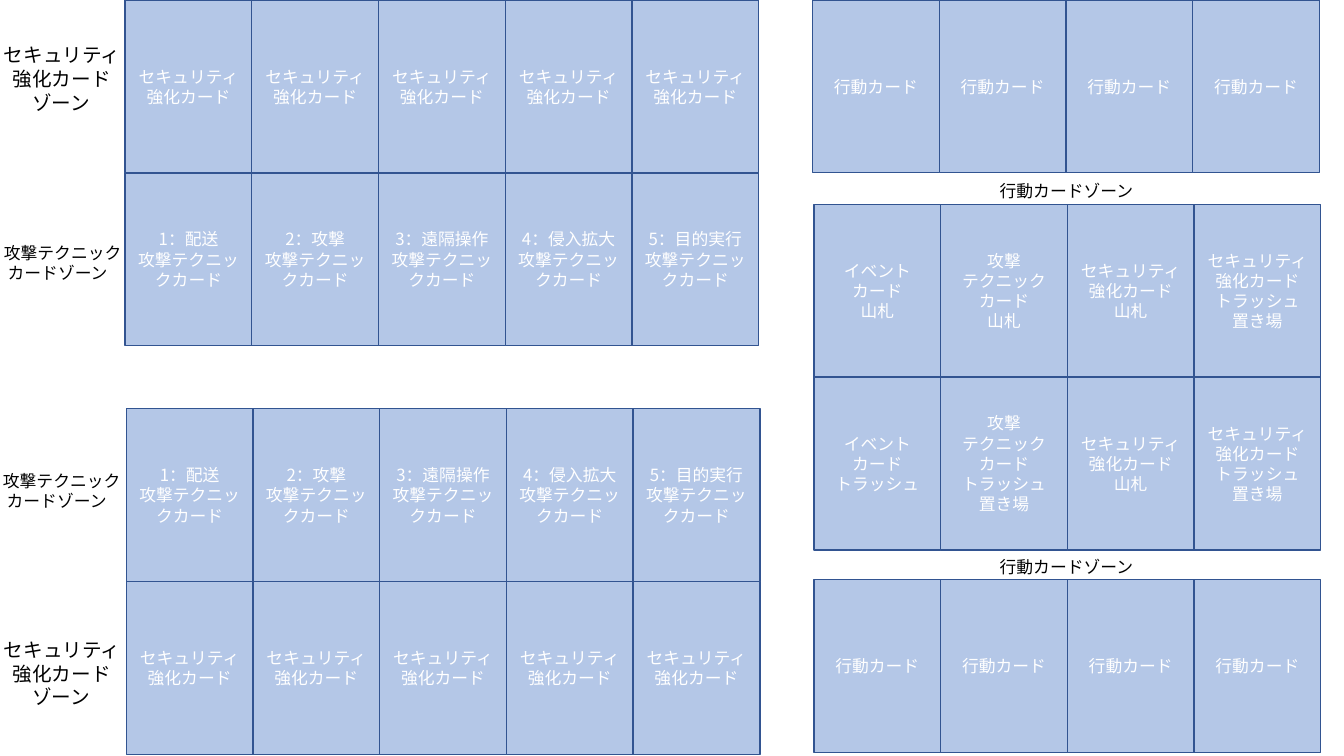
from dataclasses import dataclass

from lxml.etree import SubElement
from pptx import Presentation
from pptx.dml.color import RGBColor
from pptx.enum.shapes import MSO_SHAPE
from pptx.enum.text import MSO_ANCHOR, MSO_AUTO_SIZE, PP_ALIGN
from pptx.oxml.ns import qn
from pptx.slide import Slide
from pptx.text.text import TextFrame
from pptx.util import Pt


@dataclass(frozen=True)
class Theme:
    font: str = "Noto Sans CJK JP"
    card_fill: RGBColor = RGBColor(0xB4, 0xC7, 0xE7)
    card_line: RGBColor = RGBColor(0x32, 0x54, 0x91)
    card_text: RGBColor = RGBColor(0xFF, 0xFF, 0xFF)
    label_text: RGBColor = RGBColor(0, 0, 0)
    body_size: float = 12
    heading_size: float = 14


@dataclass(frozen=True)
class CardRow:
    left: float
    top: float
    cards: tuple[str, ...]


@dataclass(frozen=True)
class ZoneLabel:
    left: float
    top: float
    width: float
    height: float
    text: str
    size: float
    indents: tuple[float, ...]


THEME = Theme()
CARD_WIDTH, CARD_HEIGHT, CARD_PITCH = 90.6, 123.4, 90.5

# Card wording
SECURITY_CARDS = ("セキュリティ強化カード",) * 5
ATTACK_STAGES = ("配送", "攻撃", "遠隔操作", "侵入拡大", "目的実行")
ATTACK_CARDS = tuple(
    f"{number}：{stage}\n攻撃テクニックカード"
    for number, stage in enumerate(ATTACK_STAGES, start=1)
)
ACTION_CARDS = ("行動カード",) * 4
SECURITY_DECK = "セキュリティ\n強化カード\n山札"
SECURITY_TRASH = "セキュリティ\n強化カード\nトラッシュ\n置き場"
DECKS = ("イベント\nカード\n山札", "攻撃\nテクニック\nカード\n山札",
         SECURITY_DECK, SECURITY_TRASH)
TRASHES = ("イベント\nカード\nトラッシュ",
           "攻撃\nテクニック\nカード\nトラッシュ\n置き場",
           SECURITY_DECK, SECURITY_TRASH)

CARD_ROWS = (
    CardRow(89.4, 0, SECURITY_CARDS),
    CardRow(89.4, 123.6, ATTACK_CARDS),
    CardRow(90.2, 292, ATTACK_CARDS),
    CardRow(90.2, 415.4, SECURITY_CARDS),
    CardRow(580.4, 0, ACTION_CARDS),
    CardRow(581.4, 146, DECKS),
    CardRow(581.4, 269.4, TRASHES),
    CardRow(581.4, 414, ACTION_CARDS),
)

# Zone labels: each kind appears once per player
SECURITY_ZONE = "セキュリティ\n強化カード\nゾーン"
ATTACK_ZONE = "攻撃テクニック\nカードゾーン"
ACTION_ZONE = "行動カードゾーン"
ZONE_LABELS = (
    *(ZoneLabel(-4.3, top, 100, 58.2, SECURITY_ZONE, THEME.heading_size, (0, 6.2, 20.3))
      for top in (27.4, 452.2)),
    *(ZoneLabel(left, top, 101.5, 36.3, ATTACK_ZONE, THEME.body_size, (0, 2.7))
      for left, top in ((-4.3, 169.9), (-5, 332.4))),
    *(ZoneLabel(707, top, 112.3, 21.8, ACTION_ZONE, THEME.body_size, (0,))
      for top in (125.3, 393.8)),
)


def write_lines(frame: TextFrame, text: str, size: float, color: RGBColor,
                align: PP_ALIGN, indents: tuple[float, ...] = ()) -> None:
    frame.word_wrap = True
    for index, line in enumerate(text.split("\n")):
        paragraph = frame.add_paragraph() if index else frame.paragraphs[0]
        paragraph.alignment = align
        if indents and indents[index]:
            paragraph._p.get_or_add_pPr().set("marL", str(Pt(indents[index])))
        run = paragraph.add_run()
        run.text = line
        run.font.size = Pt(size)
        run.font.color.rgb = color
        run.font.name = THEME.font
        SubElement(run.font._element, qn("a:ea"), typeface=THEME.font)


def draw_card_row(slide: Slide, row: CardRow) -> None:
    for column, text in enumerate(row.cards):
        card = slide.shapes.add_shape(
            MSO_SHAPE.RECTANGLE, Pt(row.left + column * CARD_PITCH), Pt(row.top),
            Pt(CARD_WIDTH), Pt(CARD_HEIGHT))
        card.shadow.inherit = False
        card.fill.solid()
        card.fill.fore_color.rgb = THEME.card_fill
        card.line.color.rgb = THEME.card_line
        card.line.width = Pt(1)
        card.text_frame.vertical_anchor = MSO_ANCHOR.MIDDLE
        write_lines(card.text_frame, text, THEME.body_size, THEME.card_text,
                    PP_ALIGN.CENTER)


def draw_zone_label(slide: Slide, label: ZoneLabel) -> None:
    box = slide.shapes.add_textbox(
        Pt(label.left), Pt(label.top), Pt(label.width), Pt(label.height))
    box.text_frame.auto_size = MSO_AUTO_SIZE.SHAPE_TO_FIT_TEXT
    write_lines(box.text_frame, label.text, label.size, THEME.label_text,
                PP_ALIGN.LEFT, label.indents)


def main() -> None:
    presentation = Presentation()
    presentation.slide_width, presentation.slide_height = Pt(960), Pt(540)
    board = presentation.slides.add_slide(presentation.slide_layouts[6])
    for row in CARD_ROWS:
        draw_card_row(board, row)
    for label in ZONE_LABELS:
        draw_zone_label(board, label)
    presentation.save("out.pptx")


if __name__ == "__main__":
    main()
